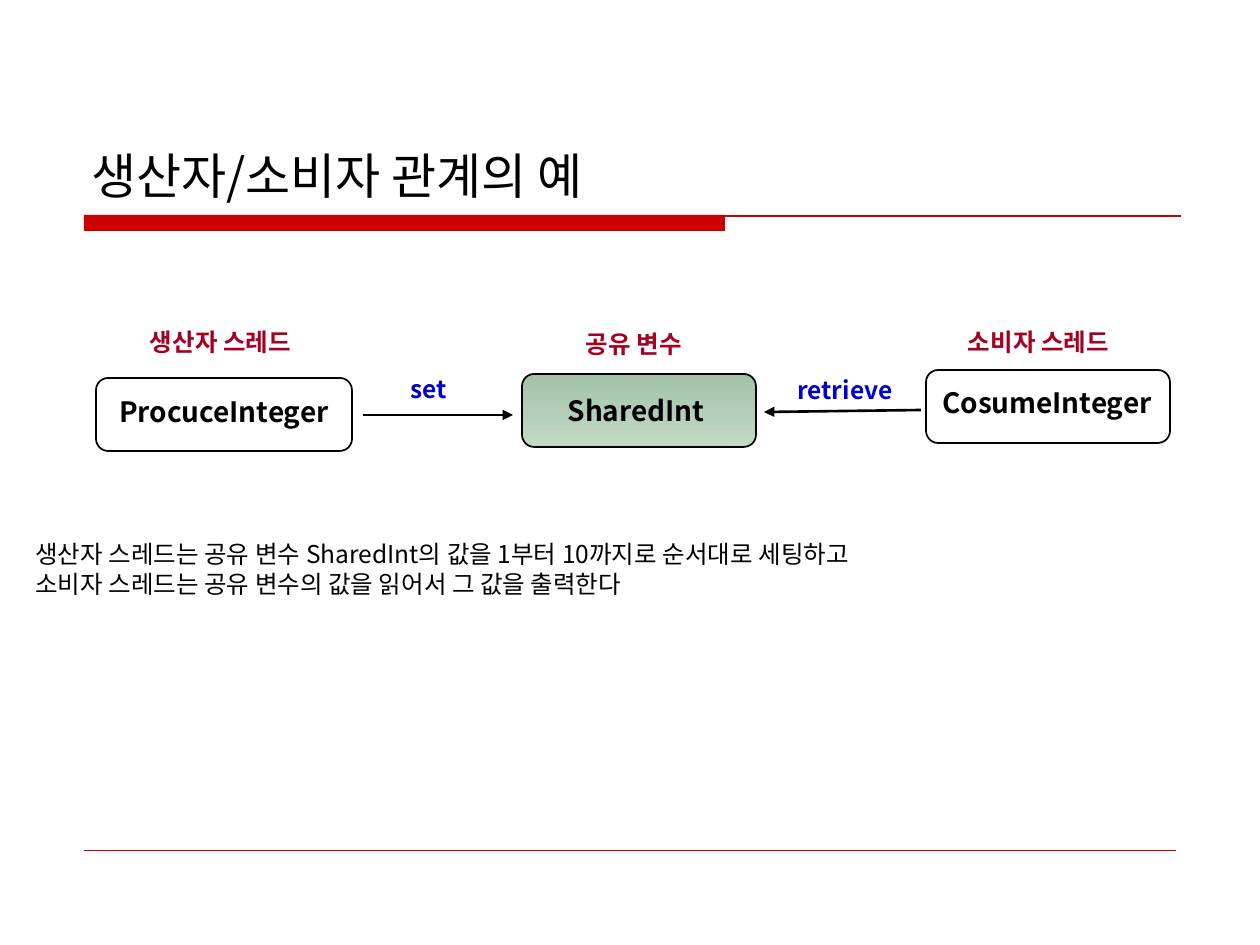
from pptx import Presentation
from pptx.dml.color import RGBColor
from pptx.enum.shapes import MSO_CONNECTOR, MSO_SHAPE
from pptx.enum.text import MSO_ANCHOR, MSO_AUTO_SIZE, PP_ALIGN
from pptx.oxml.ns import qn
from pptx.util import Emu, Pt
from lxml.etree import SubElement

EMU_PER_PX = 914400 / 126
FONT = "Noto Sans CJK KR"
RED = "CC0000"
BLACK = "000000"
BOX_HEIGHT = 73
TITLE = {"size": Pt(28), "bold": False}
NAME = {"size": Pt(16), "bold": True}
LABEL = {"size": Pt(14), "bold": True}
BODY = {"size": Pt(14), "bold": False}


def px(length):
    """Turn pixels into EMU."""
    return Emu(round(length * EMU_PER_PX))


def color(value):
    """Turn a hex string into a colour."""
    return RGBColor.from_string(value)


def add_text(slide, place, lines, font_format, text_color=BLACK, align=PP_ALIGN.CENTER, **frame_format):
    """Add a text box with one paragraph for each line."""
    frame = slide.shapes.add_textbox(*map(px, place)).text_frame
    settings = {"word_wrap": False, "auto_size": MSO_AUTO_SIZE.SHAPE_TO_FIT_TEXT, **frame_format}
    for name, value in settings.items():
        setattr(frame, name, value)
    for index, line in enumerate(lines):
        paragraph = frame.add_paragraph() if index else frame.paragraphs[0]
        paragraph.alignment = align
        run = paragraph.add_run()
        run.text = line
        for name, value in {"name": FONT, **font_format}.items():
            setattr(run.font, name, value)
        run.font.color.rgb = color(text_color)
        SubElement(run.font._element, qn("a:ea"), typeface=FONT)


def add_line(slide, start, end, line_color, width, arrow=False):
    """Add a straight line, with an arrowhead at its end if asked."""
    connector = slide.shapes.add_connector(MSO_CONNECTOR.STRAIGHT, *map(px, start + end))
    connector.line.color.rgb = color(line_color)
    connector.line.width = Pt(width)
    if arrow:
        SubElement(connector.line._get_or_add_ln(), qn("a:tailEnd"), type="triangle")
    SubElement(connector._element.spPr, qn("a:effectLst"))


def add_box(slide, left, top, width, gradient=None):
    """Add a rounded box, empty or filled from top to bottom."""
    place = map(px, (left, top, width, BOX_HEIGHT))
    shape = slide.shapes.add_shape(MSO_SHAPE.ROUNDED_RECTANGLE, *place)
    shape.shadow.inherit = False
    shape.line.color.rgb = color(BLACK)
    shape.line.width = Pt(1)
    if gradient:
        shape.fill.gradient()
        shape.fill.gradient_angle = 270
        for stop, value in zip(shape.fill.gradient_stops, gradient):
            stop.color.rgb = color(value)
    else:
        shape.fill.background()


def add_title_bar(slide):
    """Add the thick bar and the thin rule under the title."""
    bar = slide.shapes.add_shape(MSO_SHAPE.RECTANGLE, *map(px, (84, 215, 641, 16)))
    bar.shadow.inherit = False
    bar.fill.solid()
    bar.fill.fore_color.rgb = color(RED)
    bar.line.fill.background()
    add_line(slide, (84, 216), (1181, 216), RED, 0.75)


def main():
    """Build and save the slide."""
    presentation = Presentation()
    presentation.slide_width, presentation.slide_height = px(1260), px(945)
    slide = presentation.slides.add_slide(presentation.slide_layouts[6])

    add_title_bar(slide)
    add_line(slide, (84, 850), (1176, 850), RED, 0.25)
    add_text(slide, (79, 42, 1103, 168), ["생산자/소비자 관계의 예"], TITLE, align=PP_ALIGN.LEFT,
             word_wrap=True, auto_size=MSO_AUTO_SIZE.NONE, vertical_anchor=MSO_ANCHOR.BOTTOM)

    add_box(slide, 96, 378, 256)
    add_box(slide, 522, 374, 234, ("A1C3A7", "C3D9C7"))
    add_box(slide, 926, 370, 244)
    for text, left, top, width in (
        ("ProcuceInteger", 39, 388, 370),
        ("SharedInt", 489, 387, 294),
        ("CosumeInteger", 862, 379, 370),
    ):
        add_text(slide, (left, top, width, 47), [text], NAME)

    add_line(slide, (363, 415), (513, 415), BLACK, 1.5, arrow=True)
    add_line(slide, (921, 410), (764, 412), BLACK, 1.5, arrow=True)

    for text, left, top, width, text_color in (
        ("set", 333, 368, 192, "0000CC"),
        ("retrieve", 719, 369, 252, "0000CC"),
        ("생산자 스레드", 72, 321, 297, "A50021"),
        ("소비자 스레드", 890, 321, 297, "A50021"),
        ("공유 변수", 508, 323, 252, "A50021"),
    ):
        add_text(slide, (left, top, width, 43), [text], LABEL, text_color)

    add_text(slide, (23, 533, 1018, 78), [
        "생산자 스레드는 공유 변수 SharedInt의 값을 1부터 10까지로 순서대로 세팅하고",
        "소비자 스레드는 공유 변수의 값을 읽어서 그 값을 출력한다",
    ], BODY, align=PP_ALIGN.LEFT)
    presentation.save("out.pptx")


if __name__ == "__main__":
    main()
